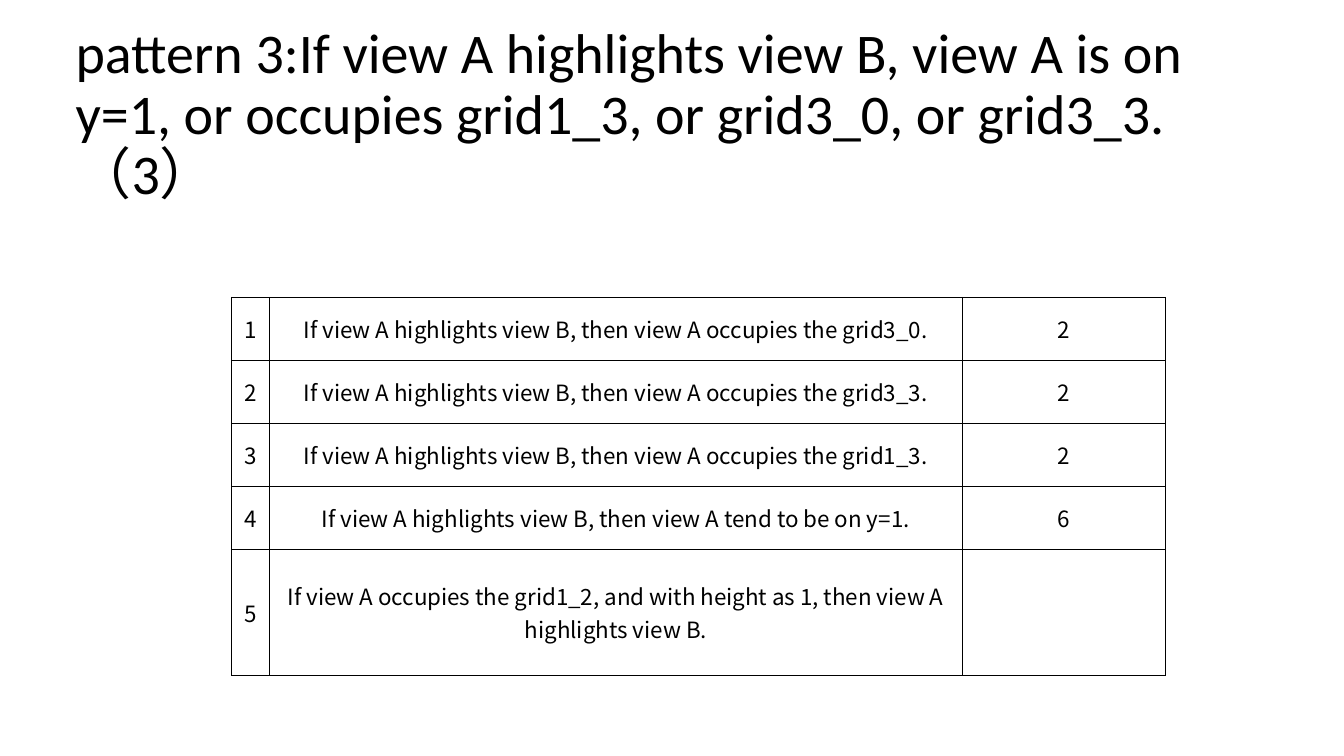
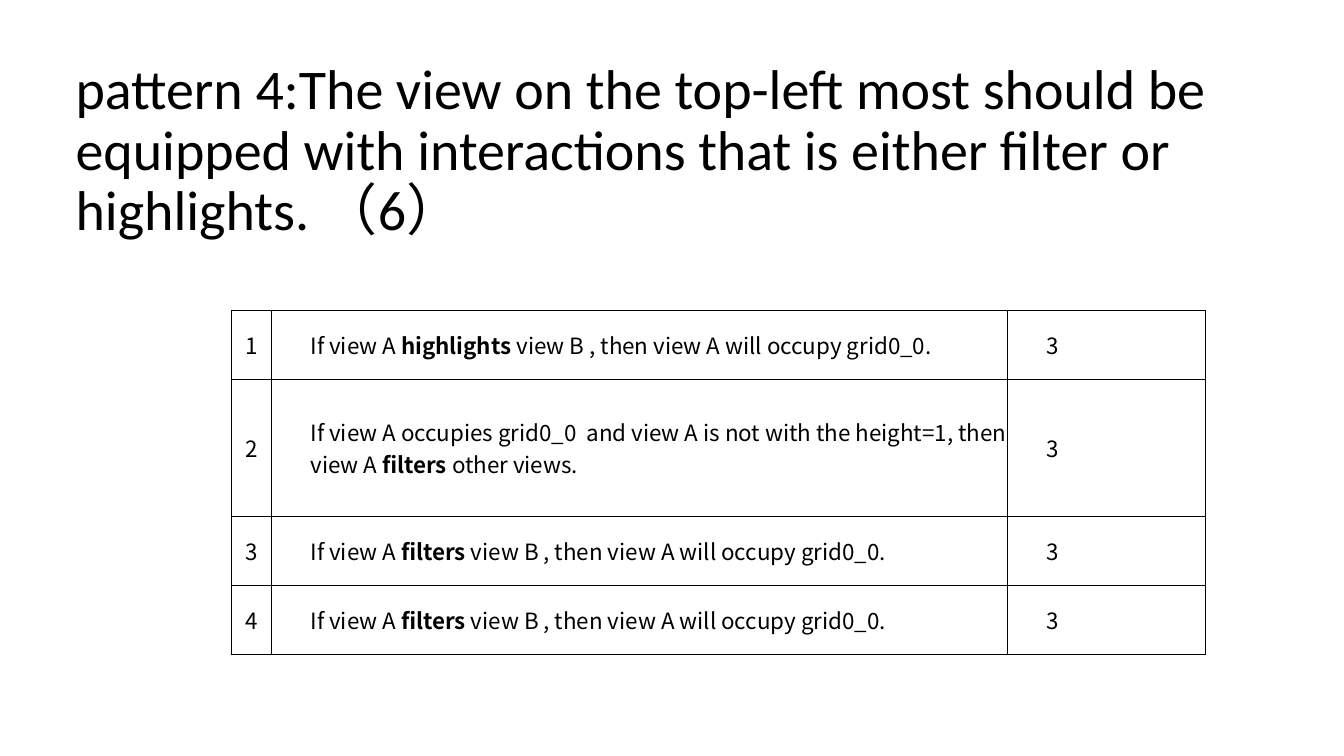
import pptx
import pptx.util
import pptx.dml.color
import pptx.enum.text
import pptx.oxml
import pptx.oxml.ns

Inches = pptx.util.Inches
Pt = pptx.util.Pt
BLACK = pptx.dml.color.RGBColor(0, 0, 0)
TITLE_FONT = "Calibri"
TABLE_FONT = "Noto Sans CJK SC"
CENTER = pptx.enum.text.PP_ALIGN.CENTER
LEFT = pptx.enum.text.PP_ALIGN.LEFT
MIDDLE = pptx.enum.text.MSO_ANCHOR.MIDDLE
TITLE_FRAME = {
    "word_wrap": True,
    "auto_size": pptx.enum.text.MSO_AUTO_SIZE.NONE,
    "vertical_anchor": pptx.enum.text.MSO_ANCHOR.BOTTOM,
}
CELL_FORMAT = {
    "margin_left": 0, "margin_right": 0, "margin_top": 0, "margin_bottom": 0,
    "vertical_anchor": MIDDLE,
}

# Asterisks enclose bold words; each row ends with its height in text lines.
SLIDES = [
    {
        "title": "pattern 3:If view A highlights view B, view A is on y=1, "
                 "or occupies grid1_3, or grid3_0, or grid3_3. （3）",
        "title_top": 0.49, "title_height": 1.61,
        "table_top": 2.95, "table_height": 3.75,
        "columns": [0.37, 6.88, 2.01],
        "indent": 0,
        "rows": [
            ("If view A highlights view B, then view A occupies the grid3_0.", "2", 1),
            ("If view A highlights view B, then view A occupies the grid3_3.", "2", 1),
            ("If view A highlights view B, then view A occupies the grid1_3.", "2", 1),
            ("If view A highlights view B, then view A tend to be on y=1.", "6", 1),
            ("If view A occupies the grid1_2, and with height as 1, "
             "then view A highlights view B.", "", 2),
        ],
    },
    {
        "title": "pattern 4:The view on the top-left most should be equipped with "
                 "interactions that is either filter or highlights. （6）",
        "title_top": 0.54, "title_height": 1.92,
        "table_top": 3.08, "table_height": 3.41,
        "columns": [0.39, 7.3, 1.97],
        "indent": 0.39,
        "rows": [
            ("If view A *highlights* view B , then view A will occupy grid0_0.", "3", 1),
            ("If view A occupies grid0_0  and view A is not with the height=1, "
             "then view A *filters* other views.", "3", 2),
            ("If view A *filters* view B , then view A will occupy grid0_0.", "3", 1),
            ("If view A *filters* view B , then view A will occupy grid0_0.", "3", 1),
        ],
    },
]


def set_format(target, values):
    """Set each named attribute of the target."""
    for name, value in values.items():
        setattr(target, name, value)


def fill_cell(cell, text, indent):
    """Give a cell its borders and text, centred unless it is indented."""
    set_format(cell, CELL_FORMAT)
    properties = cell._tc.get_or_add_tcPr()
    for side in ("lnL", "lnR", "lnT", "lnB"):
        properties.append(pptx.oxml.parse_xml(
            f'<a:{side} {pptx.oxml.ns.nsdecls("a")} w="{Pt(0.75)}">'
            f'<a:solidFill><a:srgbClr val="{BLACK}"/></a:solidFill></a:{side}>'))
    cell.fill.background()
    para = cell.text_frame.paragraphs[0]
    para.alignment = LEFT if indent else CENTER
    if indent:
        para._p.get_or_add_pPr().set("marL", str(Inches(indent)))
    if not text:
        return
    for index, part in enumerate(text.split("*")):
        span = para.add_run()
        span.text = part
        set_format(span.font, {"name": TABLE_FONT, "size": Pt(16), "bold": index % 2 == 1})
        span.font.color.rgb = BLACK


deck = pptx.Presentation()
set_format(deck, {"slide_width": Inches(13.33), "slide_height": Inches(7.5)})
title_only = deck.slide_layouts[5]

for content in SLIDES:
    page = deck.slides.add_slide(title_only)

    title = page.shapes.title
    set_format(title, {
        "left": Inches(0.65), "top": Inches(content["title_top"]),
        "width": Inches(12.03), "height": Inches(content["title_height"]),
    })
    set_format(title.text_frame, TITLE_FRAME)
    para = title.text_frame.paragraphs[0]
    set_format(para, {"alignment": LEFT, "line_spacing": 0.9})
    span = para.add_run()
    span.text = content["title"]
    set_format(span.font, {"name": TITLE_FONT, "size": Pt(40)})
    span.font.color.rgb = BLACK

    rows, columns = content["rows"], content["columns"]
    table = page.shapes.add_table(
        len(rows), len(columns), Inches(2.3), Inches(content["table_top"]),
        Inches(sum(columns)), Inches(content["table_height"])).table
    set_format(table, {"first_row": False, "horz_banding": False})
    for column, width in zip(table.columns, columns):
        column.width = Inches(width)
    line_height = content["table_height"] / sum(lines for *_, lines in rows)
    for index, (rule, count, lines) in enumerate(rows):
        table.rows[index].height = Inches(line_height * lines)
        fill_cell(table.cell(index, 0), str(index + 1), 0)
        fill_cell(table.cell(index, 1), rule, content["indent"])
        fill_cell(table.cell(index, 2), count, content["indent"])

deck.save("out.pptx")
